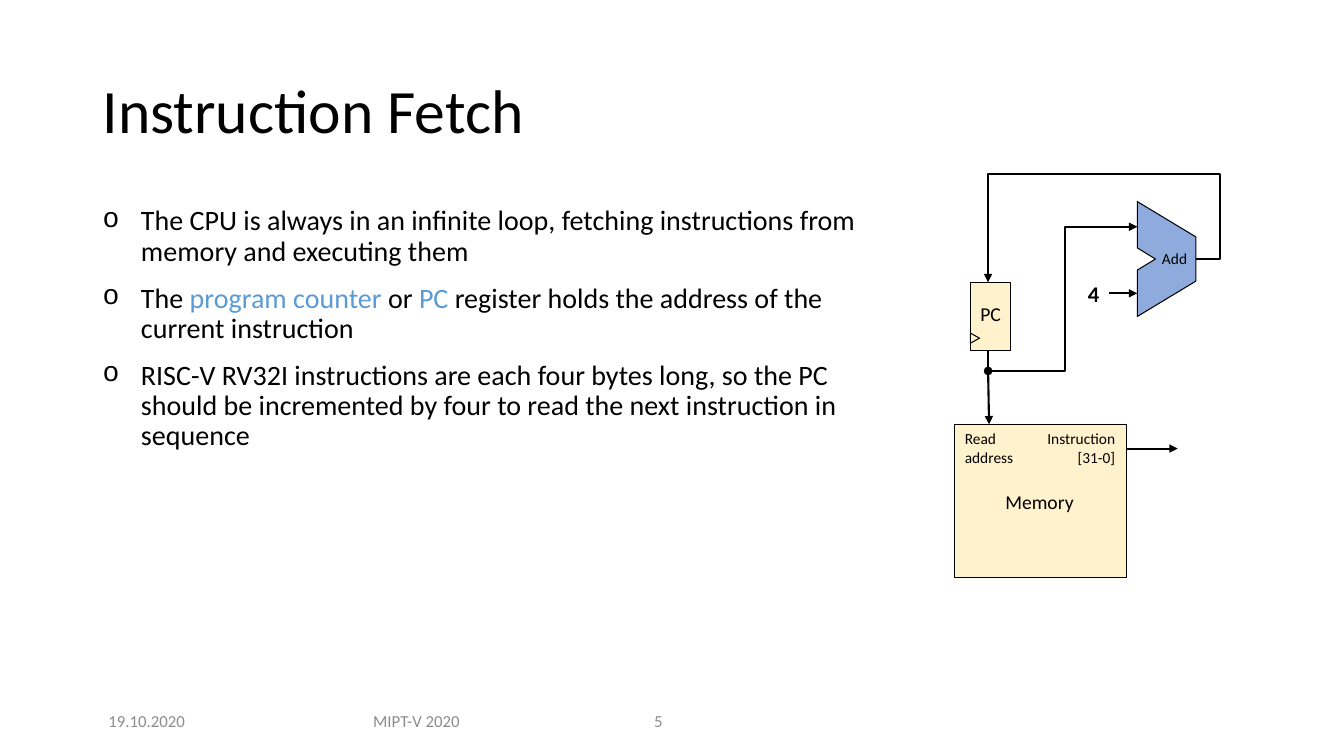
from lxml import etree
from pptx import Presentation
from pptx import util as u
from pptx.dml import color
from pptx.enum import shapes, text
from pptx.oxml import ns

COLS, ROWS = 1333, 750
CELL = u.Inches(0.01)
FONT = "Calibri"
HUES = {"ink": "000000", "blue": "5B9BD5", "gray": "8C8C8C",
        "cream": "FFF2CC", "adder": "8FAADC"}

TITLE = "Instruction Fetch"
POINTS = [
    [("The CPU is always in an infinite loop, fetching instructions from "
      "memory and executing them", "ink")],
    [("The ", "ink"), ("program counter ", "blue"), ("or ", "ink"), ("PC", "blue"),
     (" register holds the address of the current instruction", "ink")],
    [("RISC-V RV32I instructions are each four bytes long, so the PC should be "
      "incremented by four to read the next instruction in sequence", "ink")],
]
FOOT = [("19.10.2020", 92, 107, "CENTER"), ("MIPT-V 2020", 334, 158, "CENTER"),
        ("5", 639, 79, "LEFT")]

LEFT, FOOTY = 92, 695
BUS, FORK, TAP = 980, 1056, 368
PORT, OUT, MID = 1128, 1186, 257
TOP, HIGH, LOW = 200, 225, 291
MEM = (947, 421, 170, 152)
REG = (963, 280, 39, 68)
EDGE = MEM[0] + MEM[2]

ADDER = [(PORT, TOP), (PORT, 246), (1146, MID), (PORT, 268),
         (PORT, 314), (OUT, 279), (OUT, 235)]
WIRES = [
    ([(OUT, MID), (1210, MID), (1210, 173), (BUS, 173), (BUS, REG[1])], True),
    ([(BUS, TAP), (FORK, TAP), (FORK, HIGH), (PORT, HIGH)], True),
    ([(1100, LOW), (PORT, LOW)], True),
    ([(EDGE, 445), (1168, 445)], True),
    ([(BUS, REG[1] + REG[3]), (BUS, TAP)], False),
    ([(BUS, TAP), (BUS + 1, MEM[1])], True),
]
LABELS = [
    (["Add"], (1145, 247, 40, 19), dict(size=11, align="CENTER", pad=False)),
    (["4"], (1069, 273, 32, 37), dict(size=16, bold=True, wrap=False)),
    (["Read", "address"], (947, 421, 68, 47), dict(size=11, wrap=False)),
    (["Instruction [31-0]"], (1018, 421, 98, 47), dict(size=11, align="RIGHT")),
    (["Memory"], (987, 481, 88, 34), dict(size=14, align="CENTER", wrap=False)),
    (["PC"], (962, 295, 41, 34), dict(size=14, align="CENTER", wrap=False)),
]

deck = Presentation()
deck.slide_width, deck.slide_height = COLS * CELL, ROWS * CELL
slide = deck.slides.add_slide(deck.slide_layouts[6])


def rgb(hue):
    return color.RGBColor.from_string(HUES[hue])


def add(node, tag, **attrs):
    return etree.SubElement(node, ns.qn(tag), attrs)


def write(lines, box, size=20, hue="ink", bold=False, align="LEFT", anchor="TOP",
          wrap=True, pad=True, lead=None, gap=0, mark=None):
    frame = slide.shapes.add_textbox(*(n * CELL for n in box)).text_frame
    frame.word_wrap = wrap
    frame.vertical_anchor = text.MSO_ANCHOR[anchor]
    if not pad:
        frame.margin_left = frame.margin_right = 0
        frame.margin_top = frame.margin_bottom = 0
    for i, line in enumerate(lines):
        para = frame.paragraphs[0] if i == 0 else frame.add_paragraph()
        para.alignment = text.PP_ALIGN[align]
        if lead:
            para.line_spacing = lead
        if i and gap:
            para.space_before = u.Pt(gap)
        if mark:
            props = para._p.get_or_add_pPr()
            props.set("marL", str(38 * CELL))
            props.set("indent", str(-38 * CELL))
            add(props, "a:buFont", typeface="Courier New")
            add(props, "a:buChar", char=mark)
        for words, tint in [(line, hue)] if isinstance(line, str) else line:
            run = para.add_run()
            run.text = words
            run.font.name, run.font.size, run.font.bold = FONT, u.Pt(size), bold
            run.font.color.rgb = rgb(tint)


def paint(shape, hue, width=0.75):
    shape.shadow.inherit = False
    if hue:
        shape.fill.solid()
        shape.fill.fore_color.rgb = rgb(hue)
    else:
        shape.fill.background()
    shape.line.color.rgb = rgb("ink")
    shape.line.width = u.Pt(width)


def block(kind, box, hue, width=0.75):
    shape = slide.shapes.add_shape(shapes.MSO_SHAPE[kind], *(n * CELL for n in box))
    paint(shape, hue, width)
    return shape


def trace(spots, close):
    path = slide.shapes.build_freeform(*spots[0], scale=float(CELL))
    path.add_line_segments(spots[1:], close=close)
    return path.convert_to_shape()


def wire(spots, arrow):
    if len(spots) == 2:
        ends = [n * CELL for spot in spots for n in spot]
        line = slide.shapes.add_connector(shapes.MSO_CONNECTOR.STRAIGHT, *ends)
        line.line.color.rgb = rgb("ink")
        line.line.width = u.Pt(1.5)
        add(line._element.spPr, "a:effectLst")
    else:
        line = trace(spots, False)
        paint(line, None, 1.5)
    if arrow:
        add(line.line._get_or_add_ln(), "a:tailEnd", type="triangle")


write([TITLE], (LEFT, 40, 1150, 145), size=44, anchor="MIDDLE", lead=0.9)
write(POINTS, (LEFT, 200, 771, 452), lead=0.9, gap=12, mark="o")
for words, x, wide, align in FOOT:
    write([words], (x, FOOTY, wide, 40), size=12, hue="gray", align=align,
          anchor="MIDDLE")

block("RECTANGLE", MEM, "cream")
block("RECTANGLE", REG, "cream")
clock = block("ISOSCELES_TRIANGLE", (962, 331, 10, 9), "cream")
clock.rotation = 90
paint(trace(ADDER, True), "adder")
for spots, arrow in WIRES:
    wire(spots, arrow)
block("OVAL", (BUS - 4, TAP - 4, 8, 8), "ink", 0.25)
for lines, box, form in LABELS:
    write(lines, box, **form)

deck.save("out.pptx")
